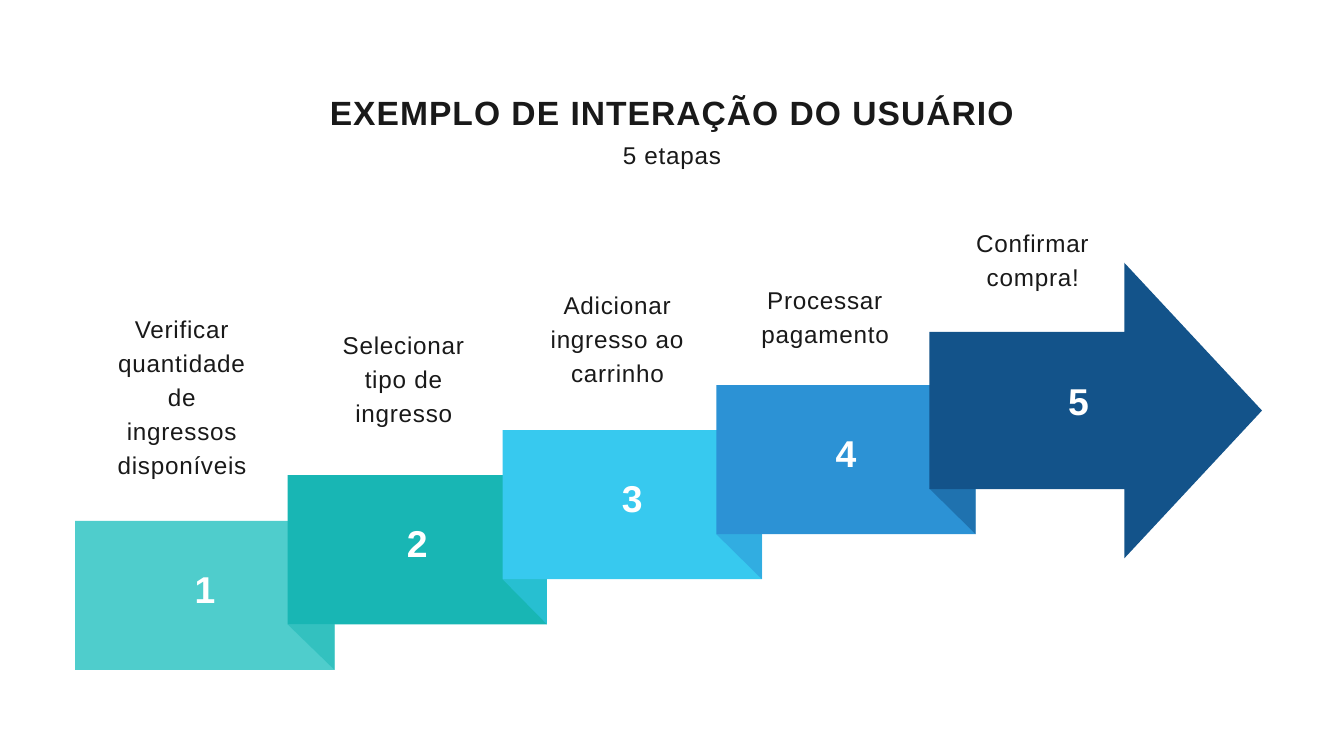
"""Build a slide showing a five-step user interaction as a rising ribbon arrow."""
from lxml.etree import SubElement
from pptx import Presentation
from pptx.dml.color import RGBColor
from pptx.enum.shapes import MSO_SHAPE
from pptx.enum.text import MSO_ANCHOR, MSO_AUTO_SIZE, PP_ALIGN
from pptx.oxml.ns import qn
from pptx.util import Pt

PX = 9144
STEP_WIDTH, STEP_HEIGHT = 386, 222
INK, WHITE = "191919", "FFFFFF"


def paint(shape, color, alpha=100):
    shape.shadow.inherit = False
    shape.line.fill.background()
    shape.fill.solid()
    shape.fill.fore_color.rgb = RGBColor.from_string(color)
    if alpha < 100:
        tint = shape.fill._xPr.find(qn("a:solidFill"))[0]
        SubElement(tint, qn("a:alpha"), val=str(alpha * 1000))


def write(page, area, text, size, leading, spacing, color=INK, bold=False, inset=0):
    box = page.shapes.add_textbox(*[value * PX for value in area])
    frame = box.text_frame
    frame.word_wrap = True
    frame.margin_left = frame.margin_right = inset * PX
    frame.margin_top = frame.margin_bottom = inset * PX
    if inset:
        frame.vertical_anchor = MSO_ANCHOR.MIDDLE
    else:
        frame.auto_size = MSO_AUTO_SIZE.SHAPE_TO_FIT_TEXT
    para = frame.paragraphs[0]
    para.alignment = PP_ALIGN.CENTER
    para.line_spacing = Pt(leading)
    span = para.add_run()
    span.text = text
    span.font.name = "Arial"
    span.font.size = Pt(size)
    span.font.bold = bold
    span.font.color.rgb = RGBColor.from_string(color)
    span._r.get_or_add_rPr().set("spc", str(spacing))


deck = Presentation()
deck.slide_width, deck.slide_height = 2000 * PX, 1125 * PX
page = deck.slides.add_slide(deck.slide_layouts[6])

steps = [
    (112, 775, "4FCDCC", (168, 460, 206, 249), "Verificar quantidade de ingressos disponíveis"),
    (428, 707, "18B6B4", (498, 484, 206, 149), "Selecionar tipo de ingresso"),
    (748, 640, "37C9EF", (816, 424, 206, 149), "Adicionar ingresso ao carrinho"),
    (1066, 573, "2C92D5", (1125, 417, 206, 99), "Processar pagamento"),
    (1383, 505, "13538A", (1434, 333, 206, 99), "Confirmar compra!"),
]

for number, (left, top, color, label_area, label) in enumerate(steps, 1):
    if number < len(steps):
        ribbon = page.shapes.add_shape(
            MSO_SHAPE.RECTANGLE, left * PX, top * PX, STEP_WIDTH * PX, STEP_HEIGHT * PX)
        number_area = (left, top - 32, STEP_WIDTH, STEP_HEIGHT + 32)
    else:
        outline = page.shapes.build_freeform(1878, 611, scale=PX)
        outline.add_line_segments(
            [(1673, 391), (1673, 494), (1383, 494), (1383, 728), (1673, 728), (1673, 831)])
        ribbon = outline.convert_to_shape()
        number_area = (left, 455, 444, 272)
    paint(ribbon, color)
    write(page, number_area, str(number), 40, 56, 200, WHITE, True, 6)
    write(page, label_area, label, 26, 36.4, 80)

    if number < len(steps):
        next_left, next_top, next_color = steps[number][:3]
        right, fold_top = left + STEP_WIDTH, next_top + STEP_HEIGHT
        outline = page.shapes.build_freeform(next_left, fold_top, scale=PX)
        outline.add_line_segments([(right, fold_top), (right, top + STEP_HEIGHT)])
        paint(outline.convert_to_shape(), next_color, 50)

write(page, (388, 201, 1224, 47), "5 etapas", 26, 36.4, 80)
write(page, (388, 131, 1224, 63), "EXEMPLO DE INTERAÇÃO DO USUÁRIO", 36, 47.2, 110, bold=True)

deck.save("out.pptx")
